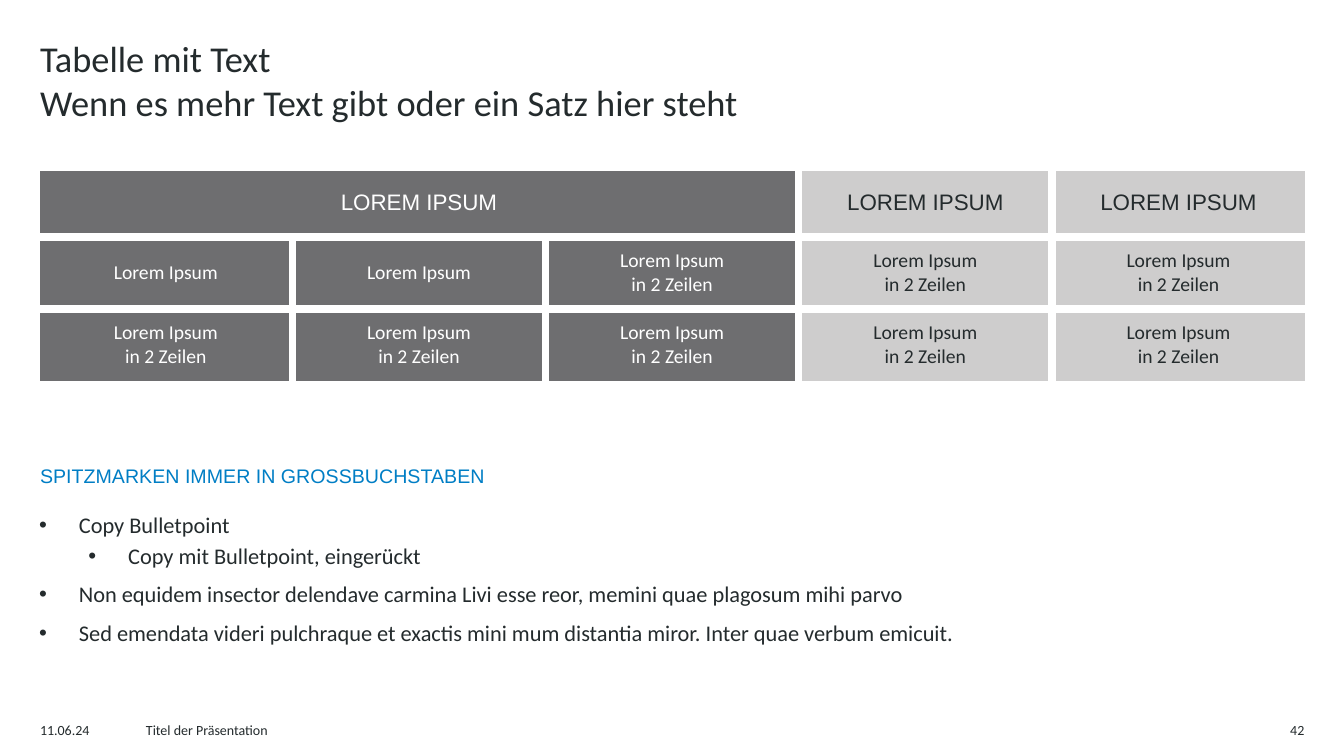
from lxml.etree import SubElement as Sub
from pptx import Presentation
from pptx.dml.color import RGBColor
from pptx.enum.text import MSO_ANCHOR as Anchor, PP_ALIGN as Align
from pptx.oxml.ns import qn
from pptx.util import Cm, Pt

DARK, LIGHT, INK, WHITE, BLUE = "6E6E70", "CECDCD", "242B2D", "FFFFFF", "007EC5"
HEAD, BODY = "Arial", "Calibri"


def tint(code):
    return RGBColor.from_string(code)


class Page:
    def __init__(self, deck):
        self.slide = deck.slides.add_slide(deck.slide_layouts[6])

    def put(self, para, text, size, color=INK, face=BODY, align=Align.LEFT):
        para.alignment = align
        for i, line in enumerate(text.split("\n")):
            if i:
                para.add_line_break()
            run = para.add_run()
            run.text = line
            run.font.size = Pt(size)
            run.font.name = face
            run.font.color.rgb = tint(color)

    def box(self, x, y, w, h, pad=0.13):
        frame = self.slide.shapes.add_textbox(Cm(x), Cm(y), Cm(w), Cm(h)).text_frame
        frame.word_wrap = True
        frame.margin_left = frame.margin_right = Cm(0.25)
        frame.margin_top = frame.margin_bottom = Cm(pad)
        return frame

    def label(self, x, y, w, h, text, size, pad=0.13, **look):
        para = self.box(x, y, w, h, pad).paragraphs[0]
        self.put(para, text, size, **look)
        return para

    def space(self, para, before):
        para.line_spacing = 0.9
        para.space_before = Pt(before)

    def bullets(self, x, y, w, h, items):
        frame = self.box(x, y, w, h)
        for i, (level, text) in enumerate(items):
            para = frame.add_paragraph() if i else frame.paragraphs[0]
            para.level = level
            self.space(para, 5 if level else 10)
            self.put(para, text, 16)
            props = para._p.get_or_add_pPr()
            props.set("marL", str(Cm(1 + 1.24 * level)))
            props.set("indent", str(Cm(-1)))
            Sub(props, qn("a:buFont"), typeface=HEAD)
            Sub(props, qn("a:buChar"), char="•")

    def edge(self, cell, sides):
        props = cell._tc.get_or_add_tcPr()
        for side, outer in sides.items():
            line = Sub(props, qn("a:ln" + side), w=str(Pt(1 if outer else 6)))
            Sub(Sub(line, qn("a:solidFill")), qn("a:srgbClr"), val=WHITE)

    def table(self, x, y, wide, highs, rows, split):
        count = len(rows[0])
        grid = self.slide.shapes.add_table(
            len(rows), count, Cm(x), Cm(y), Cm(wide * count), Cm(sum(highs))
        ).table
        grid.first_row = grid.horz_banding = False
        for col in grid.columns:
            col.width = Cm(wide)
        for r, texts in enumerate(rows):
            grid.rows[r].height = Cm(highs[r])
            for c, text in enumerate(texts):
                cell = grid.cell(r, c)
                self.edge(cell, {"L": c == 0, "R": c == count - 1,
                                 "T": r == 0, "B": r == len(rows) - 1})
                cell.fill.solid()
                cell.fill.fore_color.rgb = tint(DARK if c < split else LIGHT)
                cell.margin_left = cell.margin_right = Cm(0.25)
                cell.margin_top = cell.margin_bottom = Cm(0.3 if r else 0.5)
                cell.vertical_anchor = Anchor.MIDDLE if r else Anchor.TOP
                frame = cell.text_frame
                for i, line in enumerate(text.split("\n") if text else []):
                    para = frame.add_paragraph() if i else frame.paragraphs[0]
                    self.put(para, line, 14 if r else 16,
                             WHITE if c < split else INK,
                             BODY if r else HEAD, Align.CENTER)
        grid.cell(0, 0).merge(grid.cell(0, split - 1))


def main():
    deck = Presentation()
    deck.slide_width, deck.slide_height = Cm(33.87), Cm(19.05)
    page = Page(deck)

    page.label(0.76, 0.76, 30.99, 2.79,
               "Tabelle mit Text\nWenn es mehr Text gibt oder ein Satz hier steht",
               26, pad=0.15)

    top, one = "LOREM IPSUM", "Lorem Ipsum"
    two = one + "\nin 2 Zeilen"
    page.table(0.99, 4.29, 6.38, [1.62, 1.82, 1.82], [
        [top, "", "", top, top],
        [one, one, two, two, two],
        [two] * 5,
    ], split=3)

    page.bullets(0.74, 12.83, 32.36, 4.5, [
        (0, "Copy Bulletpoint"),
        (1, "Copy mit Bulletpoint, eingerückt"),
        (0, "Non equidem insector delendave carmina Livi esse reor, "
            "memini quae plagosum mihi parvo"),
        (0, "Sed emendata videri pulchraque et exactis mini mum distantia miror. "
            "Inter quae verbum emicuit."),
    ])
    mark = page.label(0.76, 11.63, 32.36, 1.09, "SPITZMARKEN IMMER IN GROSSBUCHSTABEN",
                      14, color=BLUE, face=HEAD)
    page.space(mark, 10)

    for x, w, text, align in [
        (0.76, 2.49, "11.06.24", Align.LEFT),
        (3.43, 27, "Titel der Präsentation", Align.LEFT),
        (31.12, 2, "42", Align.RIGHT),
    ]:
        page.label(x, 18.06, w, 0.79, text, 10, align=align)

    deck.save("out.pptx")


if __name__ == "__main__":
    main()
